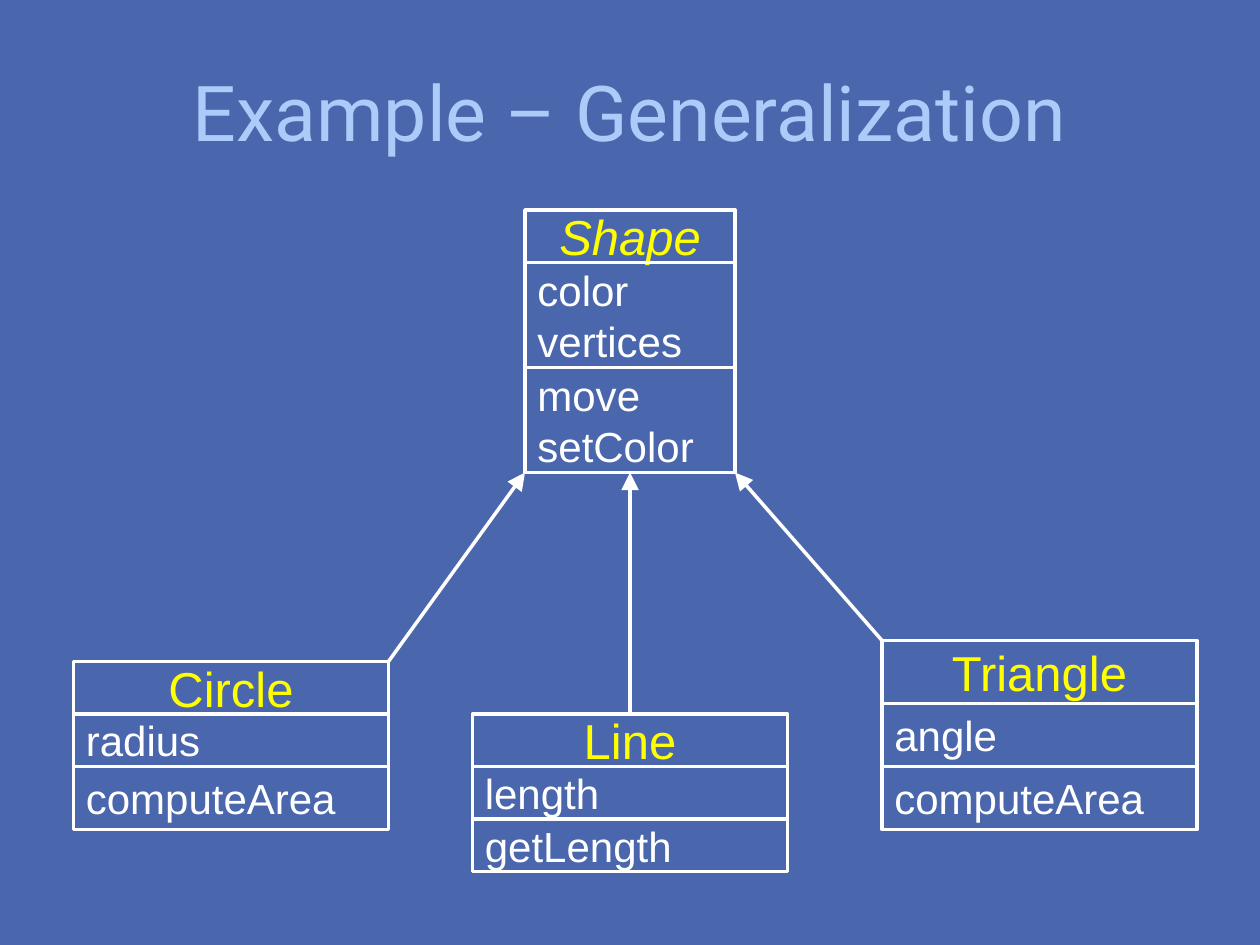
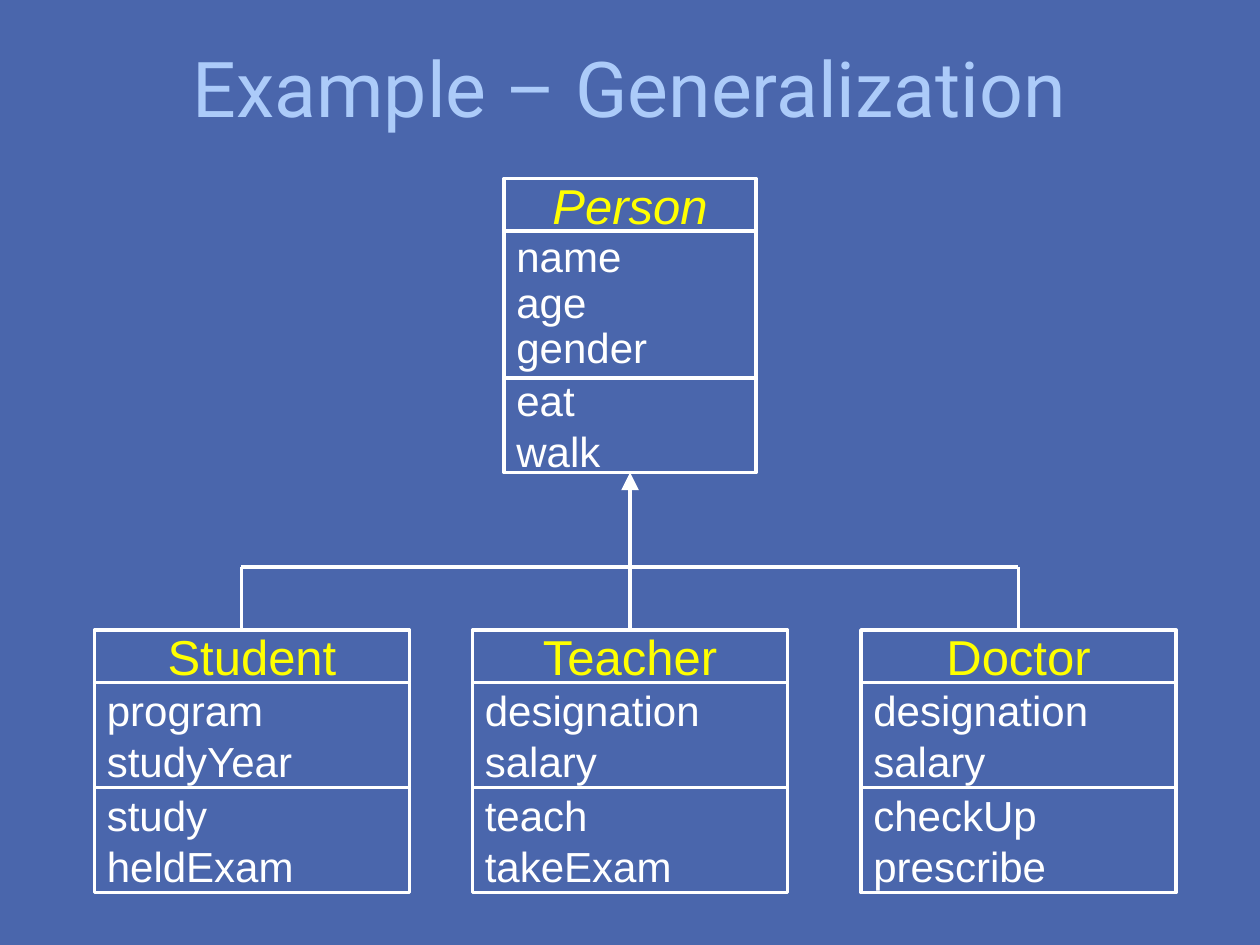
from dataclasses import dataclass

from lxml import etree
from pptx import Presentation
from pptx.dml.color import RGBColor
from pptx.enum.shapes import MSO_CONNECTOR, MSO_SHAPE
from pptx.enum.text import MSO_ANCHOR, MSO_AUTO_SIZE, PP_ALIGN
from pptx.oxml.ns import qn
from pptx.slide import Slide
from pptx.util import Inches, Length, Pt

RECT, STRAIGHT = MSO_SHAPE.RECTANGLE, MSO_CONNECTOR.STRAIGHT
MIDDLE, NO_FIT = MSO_ANCHOR.MIDDLE, MSO_AUTO_SIZE.NONE
LEFT, CENTER = PP_ALIGN.LEFT, PP_ALIGN.CENTER

COLORS = {"background": "4A66AC", "title": "ACCBF9",
          "class_name": "FFFF00", "member": "FFFFFF", "line": "FFFFFF"}
LINE_WIDTH = Pt(2)
TIGHT_SPACING = 0.9
TITLE_ONLY = 5


@dataclass(frozen=True)
class ClassBox:
    """A UML class; lengths are in grid units of a twelfth of an inch."""
    name: str
    attributes: tuple[str, ...]
    operations: tuple[str, ...]
    left: int
    top: int
    width: int
    heights: tuple[int, int, int]
    abstract: bool = False

    @property
    def right(self) -> int:
        return self.left + self.width

    @property
    def center(self) -> int:
        return self.left + self.width // 2

    @property
    def bottom(self) -> int:
        return self.top + sum(self.heights)


def grid(units: int) -> Length:
    return Inches(units / 12)


def color(key: str) -> RGBColor:
    return RGBColor.from_string(COLORS[key])


def add_titled_slide(prs, title_height: float) -> Slide:
    slide = prs.slides.add_slide(prs.slide_layouts[TITLE_ONLY])
    sp = slide.shapes.title
    sp.left, sp.top = Inches(0.33), Inches(0.25)
    sp.width, sp.height = Inches(9.34), Inches(title_height)
    tf = sp.text_frame
    tf.text = "Example – Generalization"
    tf.vertical_anchor, tf.auto_size = MIDDLE, NO_FIT
    p = tf.paragraphs[0]
    p.alignment = CENTER
    p.font.name, p.font.size = "Roboto", Pt(44)
    p.font.color.rgb = color("title")
    return slide


def add_class(slide: Slide, box: ClassBox) -> None:
    top = box.top
    parts = ((box.name,), box.attributes, box.operations)
    for i, (lines, height) in enumerate(zip(parts, box.heights)):
        is_name = i == 0
        sp = slide.shapes.add_shape(RECT, grid(box.left), grid(top),
                                    grid(box.width), grid(height))
        sp.shadow.inherit = False
        sp.fill.background()
        sp.line.color.rgb = color("line")
        sp.line.width = LINE_WIDTH
        tf = sp.text_frame
        tf.word_wrap, tf.vertical_anchor = True, MIDDLE
        tf.text = "\n".join(lines)
        for p in tf.paragraphs:
            p.alignment = CENTER if is_name else LEFT
            # Three members only fit their compartment when set tighter
            p.line_spacing = TIGHT_SPACING if len(lines) > 2 else 1.0
            p.font.name = "Arial"
            p.font.size = Pt(28 if is_name else 24)
            p.font.italic = is_name and box.abstract
            p.font.color.rgb = color("class_name" if is_name else "member")
        top += height


def add_line(slide: Slide, start: tuple[int, int], end: tuple[int, int],
             arrow: bool = False) -> None:
    line = slide.shapes.add_connector(STRAIGHT, *map(grid, start + end))
    line.line.color.rgb = color("line")
    line.line.width = LINE_WIDTH
    if arrow:
        etree.SubElement(line.line._get_or_add_ln(), qn("a:tailEnd"),
                         type="triangle", w="lg", len="lg")
    etree.SubElement(line._element.spPr, qn("a:effectLst"))


def build_shapes_slide(prs) -> None:
    slide = add_titled_slide(prs, 1.25)
    shape = ClassBox("Shape", ("color", "vertices"), ("move", "setColor"),
                     50, 20, 20, (5, 10, 10), abstract=True)
    circle = ClassBox("Circle", ("radius",), ("computeArea",), 7, 63, 30, (5, 5, 6))
    line = ClassBox("Line", ("length",), ("getLength",), 45, 68, 30, (5, 5, 5))
    triangle = ClassBox("Triangle", ("angle",), ("computeArea",), 84, 61, 30, (6, 6, 6))
    for box in (shape, circle, line, triangle):
        add_class(slide, box)

    # Each subclass points straight at its parent
    for start, end_x in (((circle.right, circle.top), shape.left),
                         ((line.center, line.top), shape.center),
                         ((triangle.left, triangle.top), shape.right)):
        add_line(slide, start, (end_x, shape.bottom), arrow=True)


def build_people_slide(prs) -> None:
    slide = add_titled_slide(prs, 0.87)
    person = ClassBox("Person", ("name", "age", "gender"), ("eat", "walk"),
                      48, 17, 24, (5, 14, 9), abstract=True)
    add_class(slide, person)
    subclasses = (
        ("Student", ("program", "studyYear"), ("study", "heldExam"), 9),
        ("Teacher", ("designation", "salary"), ("teach", "takeExam"), 45),
        ("Doctor", ("designation", "salary"), ("checkUp", "prescribe"), 82),
    )
    top = 60
    for name, attributes, operations, left in subclasses:
        add_class(slide, ClassBox(name, attributes, operations,
                                  left, top, 30, (5, 10, 10)))

    # Shared tree: one arrow, a crossbar and a drop to each subclass
    bar_y, spread = 54, 37
    drops = [person.center + step * spread for step in (-1, 0, 1)]
    add_line(slide, (person.center, bar_y), (person.center, person.bottom), arrow=True)
    add_line(slide, (drops[0], bar_y), (drops[-1], bar_y))
    for x in drops:
        add_line(slide, (x, bar_y), (x, top))


def main() -> None:
    prs = Presentation()
    prs.slide_width, prs.slide_height = Inches(10), Inches(7.5)
    fill = prs.slide_master.background.fill
    fill.solid()
    fill.fore_color.rgb = color("background")
    build_shapes_slide(prs)
    build_people_slide(prs)
    prs.save("out.pptx")


if __name__ == "__main__":
    main()
